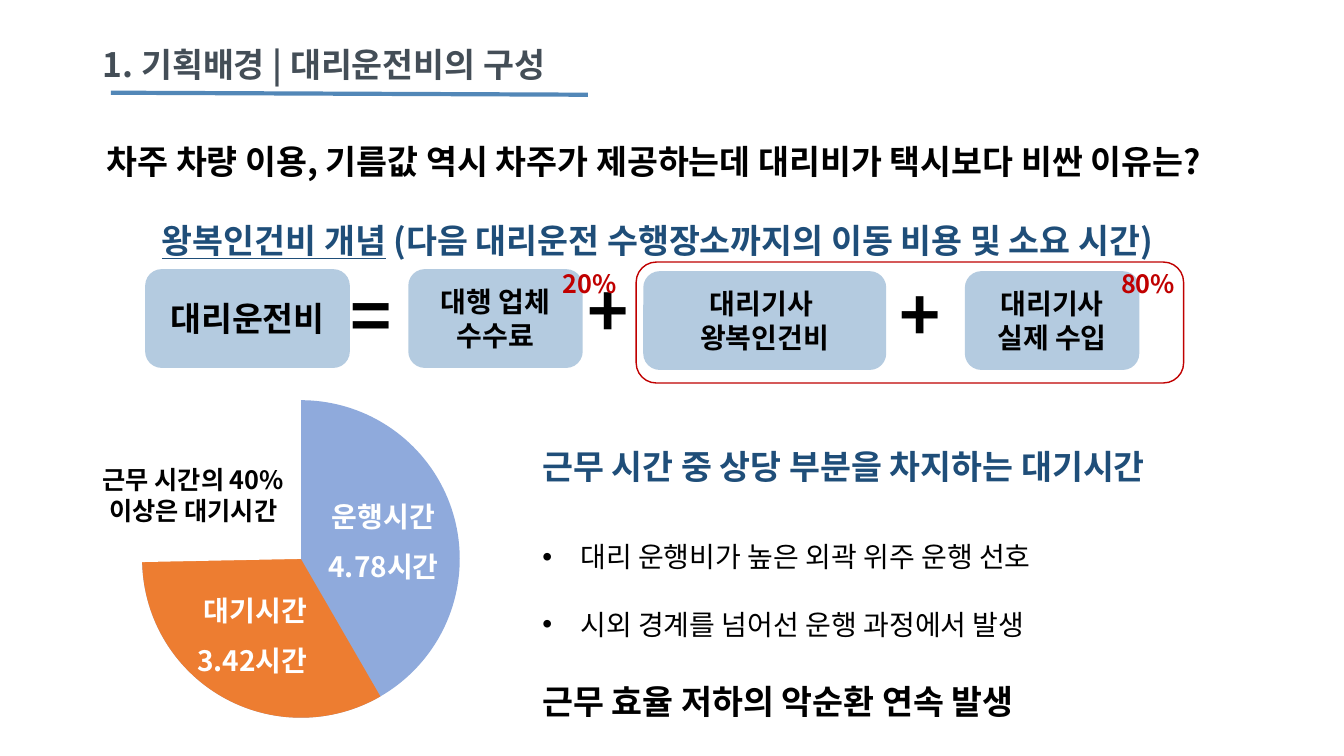
from lxml.etree import SubElement
from pptx import Presentation
from pptx.dml.color import RGBColor
from pptx.enum.shapes import MSO_CONNECTOR, MSO_SHAPE
from pptx.enum.text import MSO_ANCHOR, MSO_AUTO_SIZE, PP_ALIGN
from pptx.oxml.ns import qn
from pptx.util import Inches, Pt

FONT = "Noto Sans CJK KR"
BLACK = RGBColor(0x00, 0x00, 0x00)
WHITE = RGBColor(0xFF, 0xFF, 0xFF)
SLATE = RGBColor(0x44, 0x4E, 0x57)
NAVY = RGBColor(0x1F, 0x4E, 0x79)
RED = RGBColor(0xC0, 0x00, 0x00)
RULE = RGBColor(0x52, 0x87, 0xB7)
PALE = RGBColor(0xB4, 0xCB, 0xE0)
BLUE = RGBColor(0x8F, 0xAA, 0xDC)
ORANGE = RGBColor(0xED, 0x7D, 0x31)
LEFT, CENTER = PP_ALIGN.LEFT, PP_ALIGN.CENTER

# Content: a paragraph is (runs, paragraph format); a run is (text, font format)
TITLE = [([("1. 기획배경 | 대리운전비의 구성", {})], {})]
QUESTION = [
    ([("차주 차량 이용, 기름값 역시 차주가 제공하는데 대리비가 택시보다 비싼 이유는? ", {})], {}),
    ([("왕복인건비 개념", {"color": NAVY, "underline": True}),
      (" (다음 대리운전 수행장소까지의 이동 비용 및 소요 시간)", {"color": NAVY})],
     {"space_before": Pt(13)}),
]
BULLET = {"size": Pt(20), "bold": False}
REASONS = [
    ([("근무 시간 중 상당 부분을 차지하는 대기시간", {"color": NAVY})], {"space_after": Pt(14.5)}),
    ([("대리 운행비가 높은 외곽 위주 운행 선호", BULLET)], {"line_spacing": 2.0}),
    ([("시외 경계를 넘어선 운행 과정에서 발생", BULLET)], {"line_spacing": 2.0}),
    ([("근무 효율 저하의 악순환 연속 발생", {})], {"line_spacing": 2.0}),
]
# Positions are in grid cells of a tenth of an inch
CELL = Inches(0.1)
COST_BOXES = [  # left, top, width, size, lines
    (14.4, 26.7, 20.3, 24, ["대리운전비"]),
    (40.5, 26.7, 17.3, 20, ["대행 업체 수수료"]),
    (63.8, 26.9, 24.1, 20, ["대리기사 ", "왕복인건비"]),
    (95.7, 26.9, 17.3, 20, ["대리기사 실제 수입"]),
]
BOX_HEIGHT = 9.8
SIGNS = [("=", 33.8, 26.5), ("+", 57.3, 26.1), ("+", 88.2, 26.4)]
SHARES = [("20%", 54.8), ("80%", 110.2)]
SHARE_FRAME = (63.1, 26, 54.3, 12)
PIE_BOX = (14.1, 39.7, 31.5, 31.5)
PIE_SLICES = [(BLUE, 0, 270), (ORANGE, 89.983, 270), (WHITE, 107.325, 0)]  # fill, start, rotation
PIE_LABELS = [  # place, size, colour, spacing, lines
    ((15.2, 56.7, 20.3, 10.5), 20, WHITE, 1.5, ["대기시간", "3.42시간 "]),
    ((27.9, 47.4, 20.3, 10.5), 20, WHITE, 1.5, ["운행시간", "4.78시간"]),
    ((5.7, 45.6, 27.5, 7.1), 18, BLACK, 1.0, ["근무 시간의 40% ", "이상은 대기시간 "]),
]


def cells(*values):
    return [round(v * CELL) for v in values]


def plain(lines):
    return [([(line, {})], {}) for line in lines]


def write(s, paragraphs, size, color=BLACK, align=LEFT, spacing=1.0,
          anchor=MSO_ANCHOR.TOP, wrap=True, fit=MSO_AUTO_SIZE.NONE):
    tf = s.text_frame
    for name, value in {"word_wrap": wrap, "auto_size": fit, "vertical_anchor": anchor}.items():
        setattr(tf, name, value)
    for i, (runs, style) in enumerate(paragraphs):
        p = tf.paragraphs[0] if i == 0 else tf.add_paragraph()
        base = {"alignment": align, "line_spacing": spacing, "space_before": Pt(0)}
        for name, value in {**base, **style}.items():
            setattr(p, name, value)
        for text, look in runs:
            r = p.add_run()
            r.text = text
            look = {"name": FONT, "size": Pt(size), "bold": True, "color": color, **look}
            r.font.color.rgb = look.pop("color")
            for name, value in look.items():
                setattr(r.font, name, value)
            SubElement(r.font._element, qn("a:ea"), typeface=FONT)


def place(s, *box):
    for name, value in zip(("left", "top", "width", "height"), cells(*box)):
        setattr(s, name, value)


def add_text(box, paragraphs, size, **style):
    s = sp.add_textbox(*cells(*box))
    write(s, paragraphs, size, **style)


def add_block(kind, box, fill=None, line=None):
    s = sp.add_shape(kind, *cells(*box))
    s.shadow.inherit = False
    if fill is None:
        s.fill.background()
    else:
        s.fill.solid()
        s.fill.fore_color.rgb = fill
    if line is None:
        s.line.fill.background()
    else:
        s.line.color.rgb = line
        s.line.width = Pt(1)
    return s


prs = Presentation()
prs.slide_width, prs.slide_height = Inches(13.33), Inches(7.5)
slide = prs.slides.add_slide(prs.slide_layouts[1])
sp = slide.shapes

# Title and its rule
place(sp.title, 9.2, 3.9, 50.5, 5)
write(sp.title, TITLE, 24, SLATE, wrap=False, fit=MSO_AUTO_SIZE.SHAPE_TO_FIT_TEXT)
rule = sp.add_connector(MSO_CONNECTOR.STRAIGHT, *cells(11, 9.2, 58.3, 9.4))
rule.line.color.rgb = RULE
rule.line.width = Pt(3)
SubElement(rule._element.spPr, qn("a:effectLst"))

# Reasons list: only the 20 pt lines keep the template's bullet
body = slide.placeholders[1]
place(body, 52.8, 43.7, 80.5, 28.3)
write(body, REASONS, 24)
for p, (runs, style) in zip(body.text_frame.paragraphs, REASONS):
    if runs[0][1] is not BULLET:
        pPr = p._p.get_or_add_pPr()
        pPr.set("marL", "0")
        pPr.set("indent", "0")
        SubElement(pPr, qn("a:buNone"))

# Cost equation
for left, top, width, size, lines in COST_BOXES:
    s = add_block(MSO_SHAPE.ROUNDED_RECTANGLE, (left, top, width, BOX_HEIGHT), PALE)
    write(s, plain(lines), size, align=CENTER, anchor=MSO_ANCHOR.MIDDLE)
for sign, left, top in SIGNS:
    add_text((left, top, 11.6, 9.4), plain([sign]), 50)
for share, left in SHARES:
    add_text((left, 26.1, 8.9, 4), plain([share]), 18, color=RED)
add_block(MSO_SHAPE.ROUNDED_RECTANGLE, SHARE_FRAME, line=RED)
add_text((4.1, 11.5, 122.2, 14.6), QUESTION, 24, align=CENTER, spacing=1.5)

# Working-time pie
for fill, start, rotation in PIE_SLICES:
    s = add_block(MSO_SHAPE.PIE, PIE_BOX, fill)
    s.adjustments[0], s.adjustments[1] = start, 162
    s.rotation = rotation
for box, size, color, spacing, lines in PIE_LABELS:
    add_text(box, plain(lines), size, color=color, align=CENTER, spacing=spacing)

prs.save("out.pptx")
